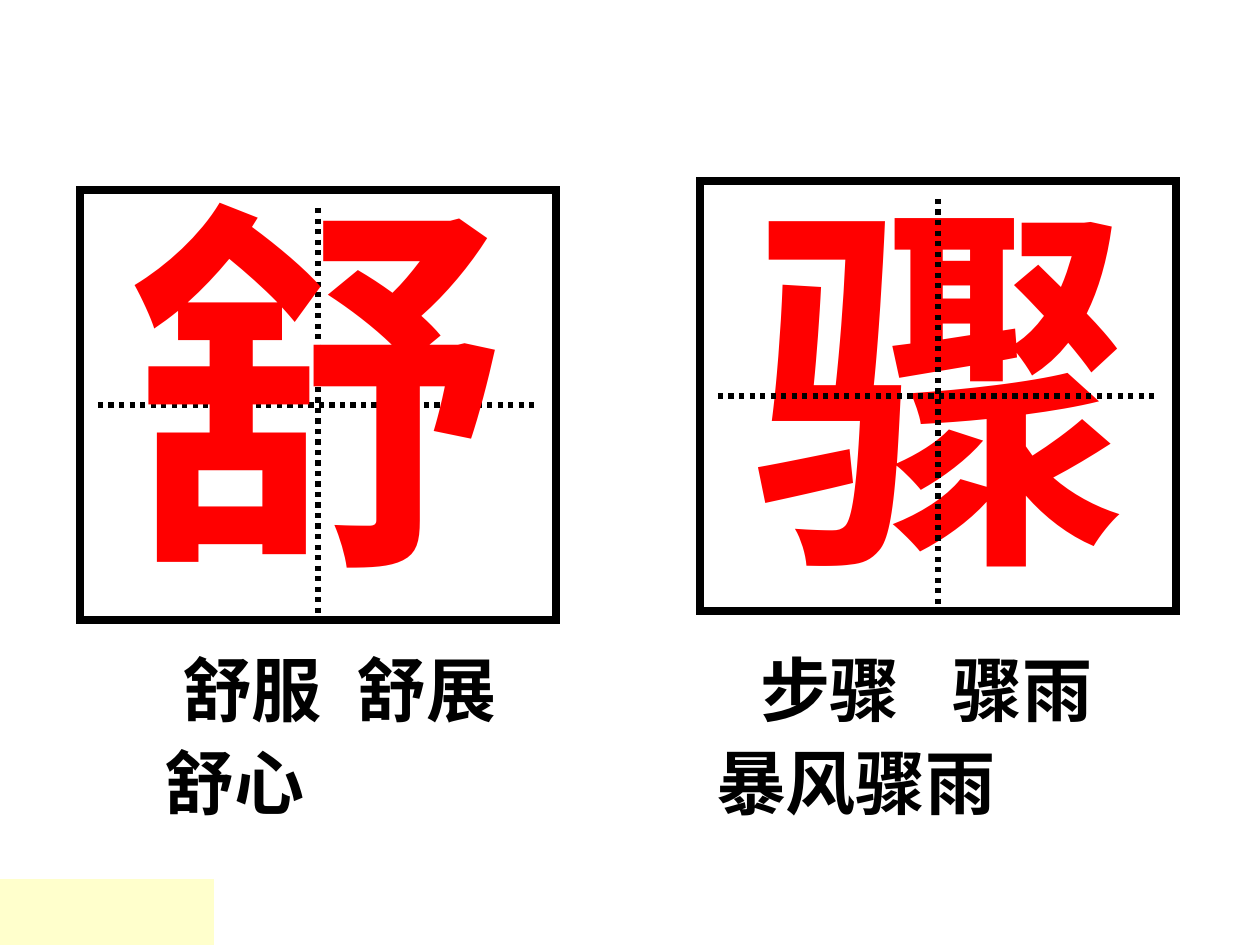
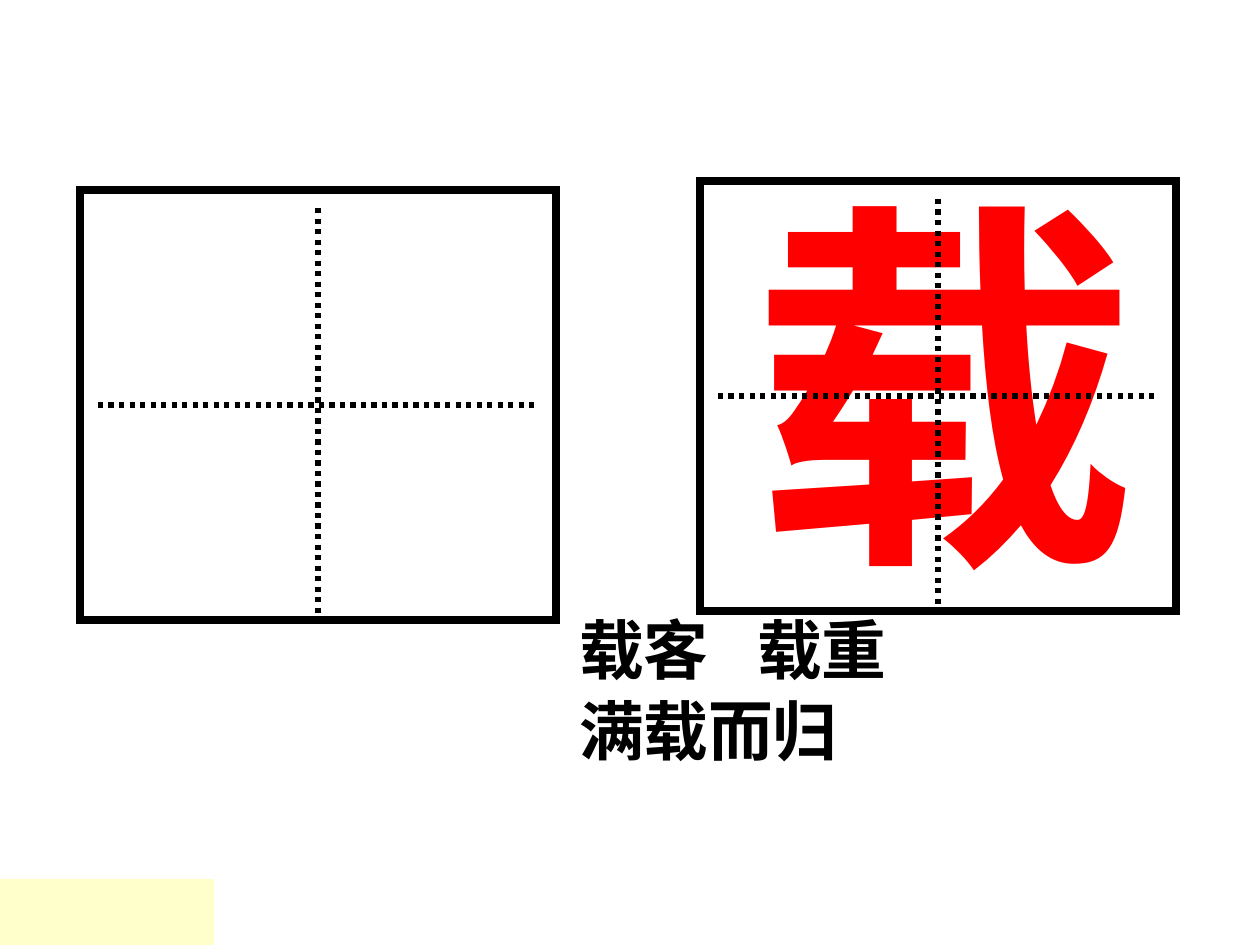
from dataclasses import dataclass

from lxml.etree import SubElement
from pptx import Presentation
from pptx.dml.color import RGBColor
from pptx.enum.dml import MSO_LINE
from pptx.enum.shapes import MSO_CONNECTOR, MSO_SHAPE
from pptx.enum.text import MSO_ANCHOR, MSO_AUTO_SIZE, PP_ALIGN
from pptx.oxml.ns import qn
from pptx.util import Emu, Pt


@dataclass(frozen=True)
class Theme:
    ink: RGBColor = RGBColor(0, 0, 0)
    character: RGBColor = RGBColor(255, 0, 0)
    band: RGBColor = RGBColor(255, 255, 204)
    character_font: str = "Arial"
    word_font: str = "Times New Roman"
    east_asian_font: str = "Arial"
    character_size: int = 220
    frame_width: float = 4.5
    guide_width: float = 3
    band_width: float = 0.75


THEME = Theme()
PIXELS_PER_INCH = 126
FRAME_WIDTH, FRAME_HEIGHT = 476, 430
GUIDE_TOP, GUIDE_LEFT, GUIDE_MIDDLE, GUIDE_LENGTH = 18, 18, 215, 440
CHARACTER_TOP, CHARACTER_SIDE = 225, 400
WORDS_WIDTH, WORDS_HEIGHT = 450, 190
WIDE_SPACE = "　"
LEFT_CELL = {"left": 80, "top": 190, "text_left": 123, "guides_above": False}
RIGHT_CELL = {"left": 700, "top": 181, "text_left": 752, "guides_above": True}


def px(length):
    return Emu(round(length * 914400 / PIXELS_PER_INCH))


def apply_format(target, values):
    for name, value in values.items():
        setattr(target, name, value)


def style_frame(frame):
    apply_format(frame, {
        "margin_left": 0, "margin_top": 0, "margin_right": 0, "margin_bottom": 0,
        "word_wrap": True, "auto_size": MSO_AUTO_SIZE.NONE,
        "vertical_anchor": MSO_ANCHOR.TOP,
    })


def write_span(para, text, font_name, size, color):
    span = para.add_run()
    span.text = text
    apply_format(span.font, {"name": font_name, "size": Pt(size), "bold": True})
    span.font.color.rgb = color
    SubElement(span.font._element, qn("a:ea")).set("typeface", THEME.east_asian_font)


def set_indent(para, indent):
    properties = para._p.get_or_add_pPr()
    properties.set("marL", str(px(indent)))
    properties.set("indent", "0")
    SubElement(properties, qn("a:buNone"))


def add_words(box, left, top, size, line_spacing, gap_size, lines):
    apply_format(box, {"left": px(left), "top": px(top),
                       "width": px(WORDS_WIDTH), "height": px(WORDS_HEIGHT)})
    style_frame(box.text_frame)
    for index, (indent, words) in enumerate(lines):
        para = box.text_frame.paragraphs[0] if index == 0 else box.text_frame.add_paragraph()
        set_indent(para, indent)
        apply_format(para, {"alignment": PP_ALIGN.LEFT, "space_before": Pt(0),
                            "space_after": Pt(0), "line_spacing": Pt(line_spacing)})
        for position, word in enumerate(words):
            if position:
                write_span(para, WIDE_SPACE, THEME.word_font, gap_size, THEME.ink)
            write_span(para, word, THEME.word_font, size, THEME.ink)


def add_rectangle(page, left, top, width, height, line_color, line_width, fill=None):
    box = page.shapes.add_shape(MSO_SHAPE.RECTANGLE, px(left), px(top), px(width), px(height))
    box.shadow.inherit = False
    if fill is None:
        box.fill.background()
    else:
        box.fill.solid()
        box.fill.fore_color.rgb = fill
    box.line.color.rgb = line_color
    box.line.width = Pt(line_width)
    outline = box._element.spPr.find(qn("a:ln"))
    SubElement(outline, qn("a:miter")).set("lim", "800000")
    return box


def add_guide(page, start, end):
    guide = page.shapes.add_connector(MSO_CONNECTOR.STRAIGHT, *map(px, start + end))
    guide.line.color.rgb = THEME.ink
    apply_format(guide.line, {"width": Pt(THEME.guide_width), "dash_style": MSO_LINE.ROUND_DOT})
    SubElement(guide._element.spPr, qn("a:effectLst"))
    return guide


def add_grid(page, left, top):
    frame = add_rectangle(page, left, top, FRAME_WIDTH, FRAME_HEIGHT,
                          THEME.ink, THEME.frame_width)
    center, middle = left + FRAME_WIDTH // 2, top + GUIDE_MIDDLE
    vertical = add_guide(page, (center, top + GUIDE_TOP), (center, top + FRAME_HEIGHT))
    vertical.end_connect(frame, 2)
    start = left + GUIDE_LEFT
    add_guide(page, (start, middle), (start + GUIDE_LENGTH, middle))


def add_character(page, left, character):
    box = page.shapes.add_textbox(px(left), px(CHARACTER_TOP),
                                  px(CHARACTER_SIDE), px(CHARACTER_SIDE))
    style_frame(box.text_frame)
    para = box.text_frame.paragraphs[0]
    para.line_spacing = Pt(THEME.character_size)
    write_span(para, character, THEME.character_font, THEME.character_size, THEME.character)


def add_cell(page, cell, character):
    if character and cell["guides_above"]:
        add_character(page, cell["text_left"], character)
    add_grid(page, cell["left"], cell["top"])
    if character and not cell["guides_above"]:
        add_character(page, cell["text_left"], character)


def add_page(deck, layout_index, characters, columns):
    page = deck.slides.add_slide(deck.slide_layouts[layout_index])
    title = page.shapes.title._element
    title.getparent().remove(title)
    for index, column in enumerate(columns, start=1):
        add_words(page.placeholders[index], **column)
    for cell, character in zip((LEFT_CELL, RIGHT_CELL), characters):
        add_cell(page, cell, character)
    add_rectangle(page, 0, 880, 213, 65, THEME.band, THEME.band_width, THEME.band)


def main():
    deck = Presentation()
    apply_format(deck, {"slide_width": px(1260), "slide_height": px(945)})
    pair_format = {"top": 638, "size": 40, "line_spacing": 53}
    add_page(deck, 3, ("舒", "骤"), [
        {**pair_format, "left": 165, "gap_size": 20,
         "lines": [(17, ["舒服", "舒展"]), (0, ["舒心"])]},
        {**pair_format, "left": 716, "gap_size": 30,
         "lines": [(44, ["步骤", "骤雨"]), (0, ["暴风骤雨"])]},
    ])
    add_page(deck, 1, (None, "载"), [
        {"left": 579, "top": 607, "size": 37, "line_spacing": 46, "gap_size": 28,
         "lines": [(0, ["载客", "载重"]), (0, ["满载而归"])]},
    ])
    deck.save("out.pptx")


if __name__ == "__main__":
    main()
